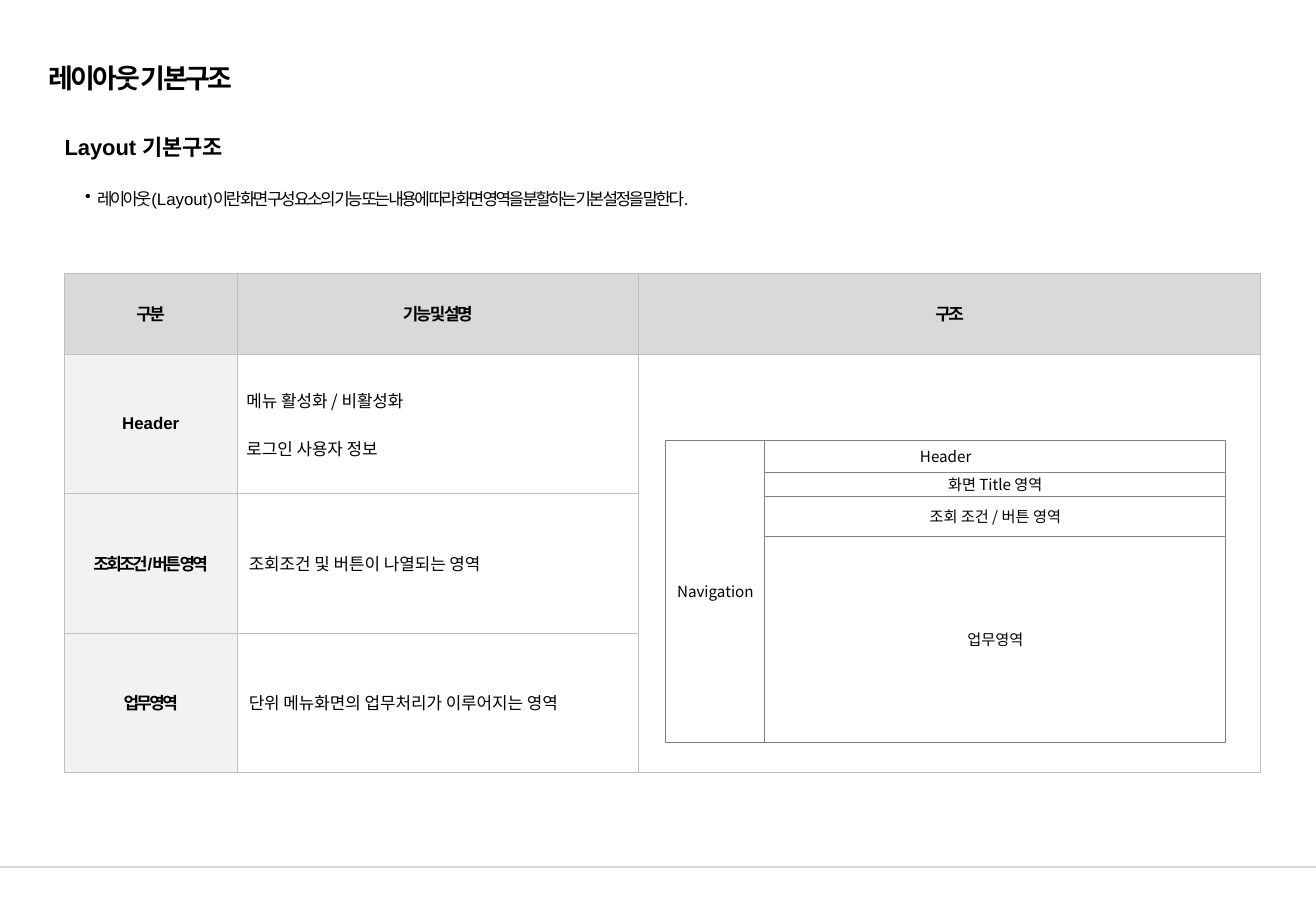
from dataclasses import dataclass
from itertools import accumulate

import pptx
import pptx.dml.color
import pptx.enum.shapes
import pptx.enum.text
import pptx.oxml
import pptx.oxml.ns
import pptx.util
from pptx.util import Cm

ALIGN = pptx.enum.text.PP_ALIGN
MIDDLE = pptx.enum.text.MSO_ANCHOR.MIDDLE
AUTO_SIZE = pptx.enum.text.MSO_AUTO_SIZE


@dataclass(frozen=True)
class Theme:
    text: str = "000000"
    white: str = "FFFFFF"
    head_fill: str = "D9D9D9"
    label_fill: str = "F2F2F2"
    table_line: str = "BFBFBF"
    frame_line: str = "808080"
    footer_line: str = "D9D9D9"
    latin: str = "Arial"
    korean: str = "Noto Sans CJK KR"
    title_size: float = 16
    subtitle_size: float = 13
    body_size: float = 10
    region_size: float = 9
    tight: float = -1.5


THEME = Theme()


@dataclass(frozen=True)
class Style:
    size: float
    font: str = THEME.latin
    bold: bool = False
    spacing: float = 0


@dataclass(frozen=True)
class Area:
    label: str
    label_style: Style
    descriptions: tuple[str, ...]
    margin: float = 0.25


@dataclass(frozen=True)
class Region:
    text: str
    left: float
    top: float
    width: float
    height: float


TIGHT_BOLD = Style(THEME.body_size, bold=True, spacing=THEME.tight)
PLAIN_BOLD = Style(THEME.body_size, bold=True)
DESCRIPTION = Style(THEME.body_size, THEME.korean)
REGION = Style(THEME.region_size, THEME.korean)

# Table content, in cm
HEADINGS = ("구분", "기능 및 설명", "구조")
AREAS = (
    Area("Header", PLAIN_BOLD, ("메뉴 활성화 / 비활성화", "로그인 사용자 정보"), 0.2),
    Area("조회조건/버튼 영역", TIGHT_BOLD, ("조회조건 및 버튼이 나열되는 영역",)),
    Area("업무영역", TIGHT_BOLD, ("단위 메뉴화면의 업무처리가 이루어지는 영역",)),
)
COLUMN_WIDTHS = (3.6, 8.4, 13)
HEAD_HEIGHT, AREA_HEIGHT = 1.7, 2.91

# Structure diagram, in cm
FRAME_LEFT, FRAME_TOP = 13.92, 9.22
FRAME_WIDTH, NAVIGATION_WIDTH = 11.7, 2.07
BANDS = (("Header", 0.66), ("화면 Title 영역", 0.5),
         ("조회 조건 / 버튼 영역", 0.84), ("업무영역", 4.3))


def color(value: str) -> pptx.dml.color.RGBColor:
    return pptx.dml.color.RGBColor.from_string(value)


def add_run(paragraph, text: str, style: Style) -> None:
    run = paragraph.add_run()
    run.text = text
    run.font.size = pptx.util.Pt(style.size)
    run.font.name = style.font
    run.font.bold = style.bold
    run.font.color.rgb = color(THEME.text)
    properties = run.font._element
    properties.set("spc", str(round(style.spacing * 100)))
    east_asian = pptx.oxml.parse_xml(
        f'<a:ea {pptx.oxml.ns.nsdecls("a")} typeface="{THEME.korean}"/>')
    properties.find(pptx.oxml.ns.qn("a:latin")).addnext(east_asian)


def add_line_box(slide, left: float, top: float, width: float, height: float):
    """Add a text box without insets and return its frame and paragraph."""
    frame = slide.shapes.add_textbox(Cm(left), Cm(top), Cm(width), Cm(height)).text_frame
    frame.word_wrap = True
    frame.auto_size = AUTO_SIZE.SHAPE_TO_FIT_TEXT
    frame.margin_left = frame.margin_right = frame.margin_top = frame.margin_bottom = 0
    paragraph = frame.paragraphs[0]
    paragraph.line_spacing = 1.5
    return frame, paragraph


def format_cell(cell, fill: str | None) -> None:
    cell.vertical_anchor = MIDDLE
    properties = cell._tc.get_or_add_tcPr()
    for side in ("lnL", "lnR", "lnT", "lnB"):
        properties.append(pptx.oxml.parse_xml(
            f'<a:{side} {pptx.oxml.ns.nsdecls("a")} w="3175"><a:solidFill>'
            f'<a:srgbClr val="{THEME.table_line}"/></a:solidFill></a:{side}>'))
    if fill is None:
        cell.fill.background()
    else:
        cell.fill.solid()
        cell.fill.fore_color.rgb = color(fill)


def fill_cell(cell, texts: tuple[str, ...], style: Style, align) -> None:
    for index, text in enumerate(texts):
        frame = cell.text_frame
        paragraph = frame.add_paragraph() if index else frame.paragraphs[0]
        paragraph.alignment = align
        if index:
            paragraph.space_before = pptx.util.Pt(14)
        add_run(paragraph, text, style)


def add_area_table(slide) -> None:
    table = slide.shapes.add_table(
        len(AREAS) + 1, len(HEADINGS), Cm(1.35), Cm(5.71), Cm(sum(COLUMN_WIDTHS)),
        Cm(HEAD_HEIGHT + AREA_HEIGHT * len(AREAS))).table
    table.first_row = table.horz_banding = False
    for column, width in zip(table.columns, COLUMN_WIDTHS):
        column.width = Cm(width)
    for index, row in enumerate(table.rows):
        row.height = Cm(AREA_HEIGHT if index else HEAD_HEIGHT)
        fills = (THEME.label_fill, THEME.white, None) if index else (THEME.head_fill,) * 3
        for cell, fill in zip(row.cells, fills):
            format_cell(cell, fill)
    for index, heading in enumerate(HEADINGS):
        fill_cell(table.cell(0, index), (heading,), TIGHT_BOLD, ALIGN.CENTER)
    for index, area in enumerate(AREAS, start=1):
        fill_cell(table.cell(index, 0), (area.label,), area.label_style, ALIGN.CENTER)
        description = table.cell(index, 1)
        description.margin_left = description.margin_right = Cm(area.margin)
        fill_cell(description, area.descriptions, DESCRIPTION, ALIGN.LEFT)
    table.cell(1, 2).merge(table.cell(len(AREAS), 2))


def layout_regions() -> list[Region]:
    """Stack the bands; the header runs behind the navigation column."""
    heights = [height for _, height in BANDS]
    regions = []
    for (text, height), bottom in zip(BANDS, accumulate(heights)):
        indent = NAVIGATION_WIDTH if regions else 0
        regions.append(Region(text, FRAME_LEFT + indent, FRAME_TOP + bottom - height,
                              FRAME_WIDTH - indent, height))
    navigation = Region("Navigation", FRAME_LEFT, FRAME_TOP, NAVIGATION_WIDTH, sum(heights))
    return regions + [navigation]


def add_region(shapes, region: Region) -> None:
    shape = shapes.add_shape(
        pptx.enum.shapes.MSO_SHAPE.RECTANGLE, Cm(region.left), Cm(region.top),
        Cm(region.width), Cm(region.height))
    shape.shadow.inherit = False
    shape.fill.solid()
    shape.fill.fore_color.rgb = color(THEME.white)
    shape.line.color.rgb = color(THEME.frame_line)
    shape.line.width = pptx.util.Pt(0.5)
    frame = shape.text_frame
    frame.word_wrap = False
    frame.vertical_anchor = MIDDLE
    frame.paragraphs[0].alignment = ALIGN.CENTER
    add_run(frame.paragraphs[0], region.text, REGION)


def add_footer_line(slide, width: int) -> None:
    line = slide.shapes.add_connector(
        pptx.enum.shapes.MSO_CONNECTOR.STRAIGHT, 0, Cm(18.13), width, Cm(18.13))
    line.line.color.rgb = color(THEME.footer_line)
    line.line.width = pptx.util.Pt(0.75)
    line._element.spPr.append(
        pptx.oxml.parse_xml(f'<a:effectLst {pptx.oxml.ns.nsdecls("a")}/>'))


def add_title(slide, text: str) -> None:
    title = slide.shapes.title
    title.left, title.top, title.width, title.height = Cm(0.76), Cm(1.14), Cm(25.58), Cm(0.97)
    frame = title.text_frame
    frame.auto_size = AUTO_SIZE.NONE
    frame.vertical_anchor = MIDDLE
    frame.paragraphs[0].alignment = ALIGN.LEFT
    add_run(frame.paragraphs[0], text, Style(THEME.title_size, bold=True, spacing=THEME.tight))


def add_definition(slide) -> None:
    _, paragraph = add_line_box(slide, 1.55, 3.73, 24.6, 0.56)
    properties = paragraph._p.get_or_add_pPr()
    properties.set("marL", str(Cm(0.48)))
    properties.set("indent", str(-Cm(0.25)))
    properties.append(pptx.oxml.parse_xml(
        f'<a:buChar {pptx.oxml.ns.nsdecls("a")} char="•"/>'))
    tight = Style(THEME.body_size, spacing=THEME.tight)
    add_run(paragraph, "레이아웃", tight)
    add_run(paragraph, "(Layout)", Style(THEME.body_size))
    add_run(paragraph, "이란 화면 구성 요소의 기능 또는 내용에 따라 화면 영역을 "
                       "분할하는 기본 설정을 말한다.", tight)


def main() -> None:
    presentation = pptx.Presentation()
    presentation.slide_width, presentation.slide_height = Cm(27.51), Cm(19.05)
    slide = presentation.slides.add_slide(presentation.slide_layouts[5])

    # Title and footer rule
    add_footer_line(slide, presentation.slide_width)
    add_title(slide, "레이아웃 기본구조")

    # Table, subtitle and definition
    add_area_table(slide)
    frame, paragraph = add_line_box(slide, 1.35, 2.57, 25, 0.74)
    frame.vertical_anchor = MIDDLE
    paragraph.space_before = pptx.util.Pt(2.6)
    add_run(paragraph, "Layout 기본구조", Style(THEME.subtitle_size, bold=True))
    add_definition(slide)

    # Structure diagram
    diagram = slide.shapes.add_group_shape()
    for region in layout_regions():
        add_region(diagram.shapes, region)

    presentation.save("out.pptx")


if __name__ == "__main__":
    main()
